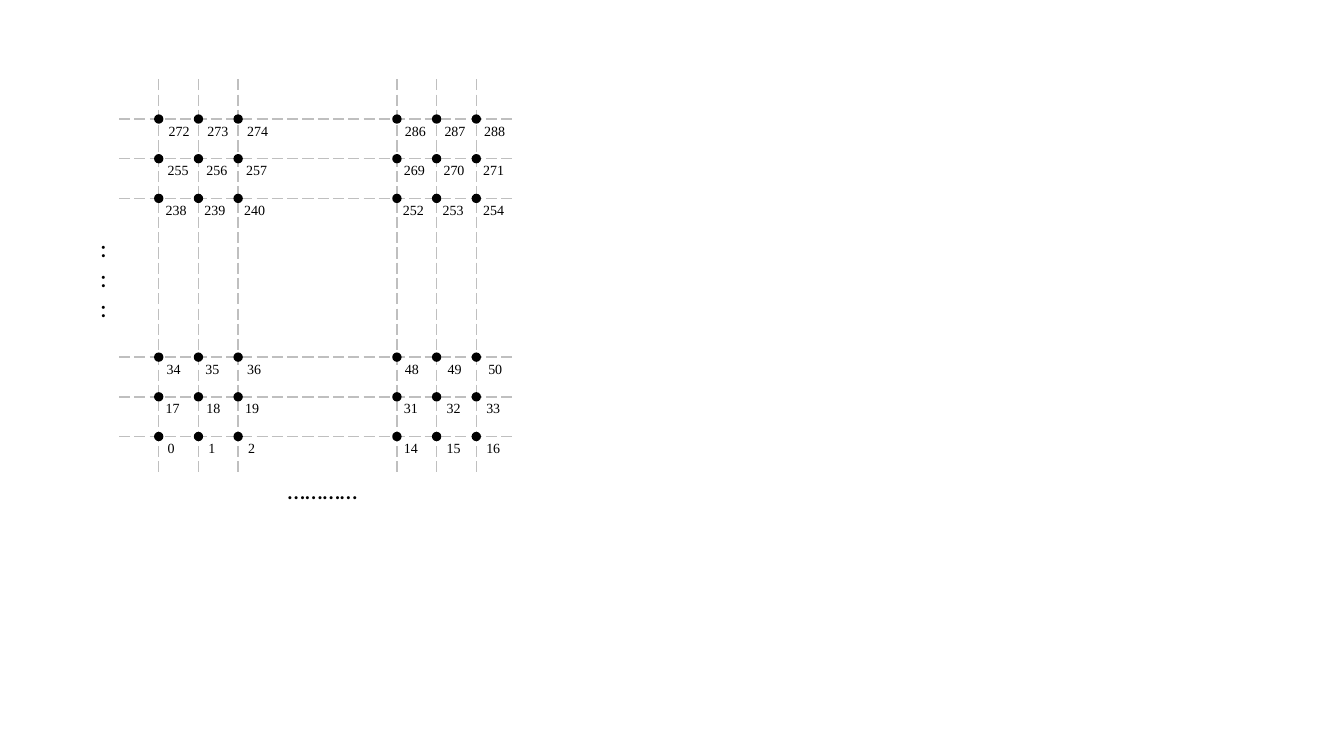
"""Build a slide with the numbered nodes of a 17 by 17 grid."""
from lxml.etree import SubElement
from pptx import Presentation
from pptx.dml.color import RGBColor
from pptx.enum.dml import MSO_LINE
from pptx.enum.shapes import MSO_CONNECTOR as CONN, MSO_SHAPE as SHAPE
from pptx.enum.text import MSO_AUTO_SIZE as FIT
from pptx.oxml.ns import qn
from pptx.util import Emu, Inches, Pt

PX = 9000
PITCH = 40
NODES = 17
DOT = 8
BLACK = RGBColor(0x00, 0x00, 0x00)
GRAY = RGBColor(0xBF, 0xBF, 0xBF)

COLUMNS = {0: 4, 1: 5, 2: 6, 14: 10, 15: 11, 16: 12}
ROWS = {16: 3, 15: 4, 14: 5, 2: 9, 1: 10, 0: 11}
LABEL_SHIFTS = {
    16: (0, -1, -1, -2, -2, -2),
    15: (-1, -2, -2, -3, -3, -3),
    14: (-3, -4, -4, -4, -4, -3),
    2: (-2, -3, -1, -2, 1, 2),
    1: (-3, -2, -3, -3, 0, 0),
    0: (-1, 0, 0, -3, 0, 0),
}


def px(*lengths):
    """Turn pixel lengths into EMU."""
    return [Emu(n * PX) for n in lengths]


def add_line(s, x1, y1, x2, y2):
    """Add a dashed grid line."""
    c = s.shapes.add_connector(CONN.STRAIGHT, *px(x1, y1, x2, y2))
    c.line.color.rgb = GRAY
    c.line.width = Pt(1)
    c.line.dash_style = MSO_LINE.LONG_DASH
    SubElement(c.element.spPr, qn("a:effectLst"))


def add_dot(s, x, y):
    """Add a black node centred on a crossing."""
    sp = s.shapes.add_shape(SHAPE.OVAL, *px(x - DOT // 2, y - DOT // 2, DOT, DOT))
    sp.shadow.inherit = False
    sp.fill.solid()
    sp.fill.fore_color.rgb = BLACK
    sp.line.color.rgb = BLACK
    sp.line.width = Pt(1)


def add_text(s, text, x, y, w, h, size, font):
    """Add an unwrapped text box."""
    tf = s.shapes.add_textbox(*px(x, y, w, h)).text_frame
    tf.word_wrap = False
    tf.auto_size = FIT.SHAPE_TO_FIT_TEXT
    tf.text = text
    for p in tf.paragraphs:
        for r in p.runs:
            r.font.size = Pt(size)
            r.font.name = font
            r.font.color.rgb = BLACK


def add_node(s, row, col, shift):
    """Add one node with its number below right."""
    x, y = COLUMNS[col] * PITCH, ROWS[row] * PITCH
    label = str(row * NODES + col)
    add_dot(s, x, y)
    add_text(s, label, x + shift, y - 2, 21 + 7 * len(label), 27, 10, "Times New Roman")


def main():
    """Build and save the slide."""
    prs = Presentation()
    prs.slide_width, prs.slide_height = Inches(13.33), Inches(7.5)
    s = prs.slides.add_slide(prs.slide_layouts[6])
    for row in ROWS.values():
        add_line(s, 120, row * PITCH, 520, row * PITCH)
    for col in COLUMNS.values():
        add_line(s, col * PITCH, 80, col * PITCH, 480)
    for row, shifts in LABEL_SHIFTS.items():
        for col, shift in zip(COLUMNS, shifts):
            add_node(s, row, col, shift)
    add_text(s, ":\n:\n:", 91, 229, 28, 103, 18, "Calibri")
    add_text(s, "…………", 280, 473, 92, 41, 18, "Calibri")
    prs.save("out.pptx")


if __name__ == "__main__":
    main()
